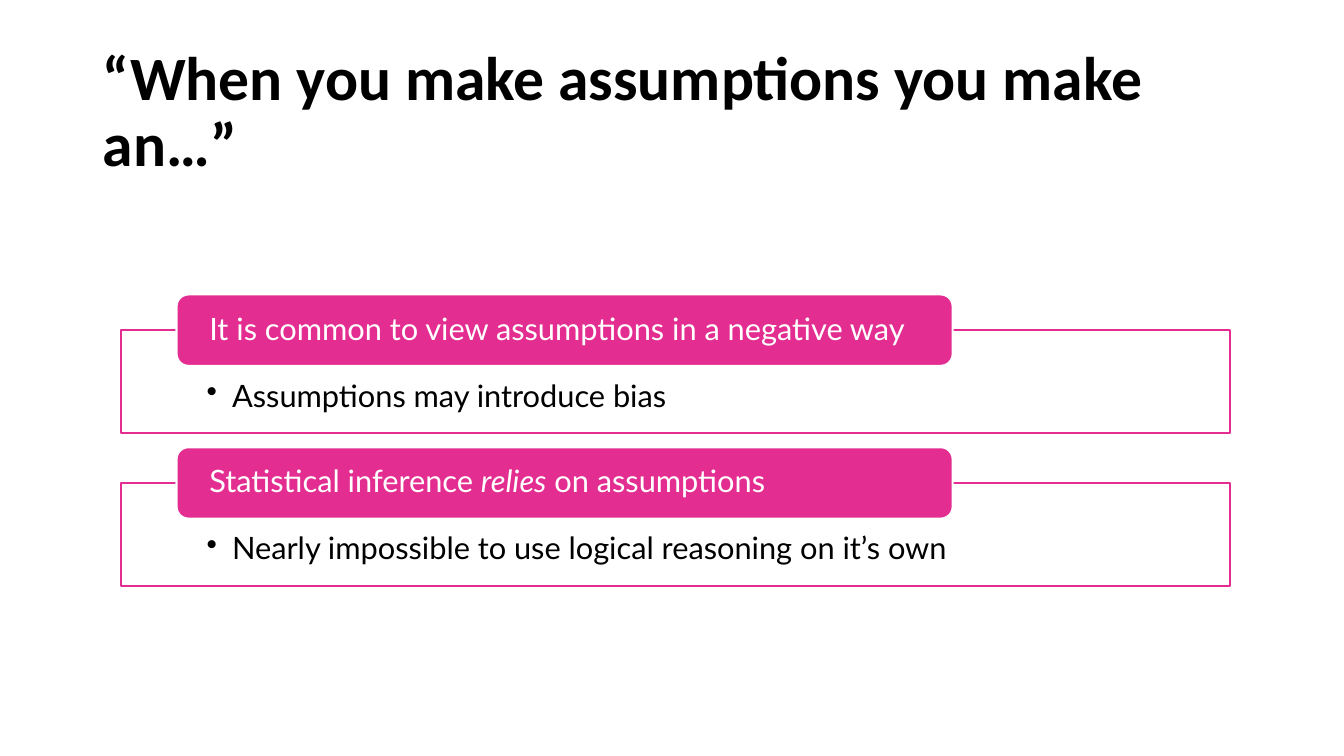
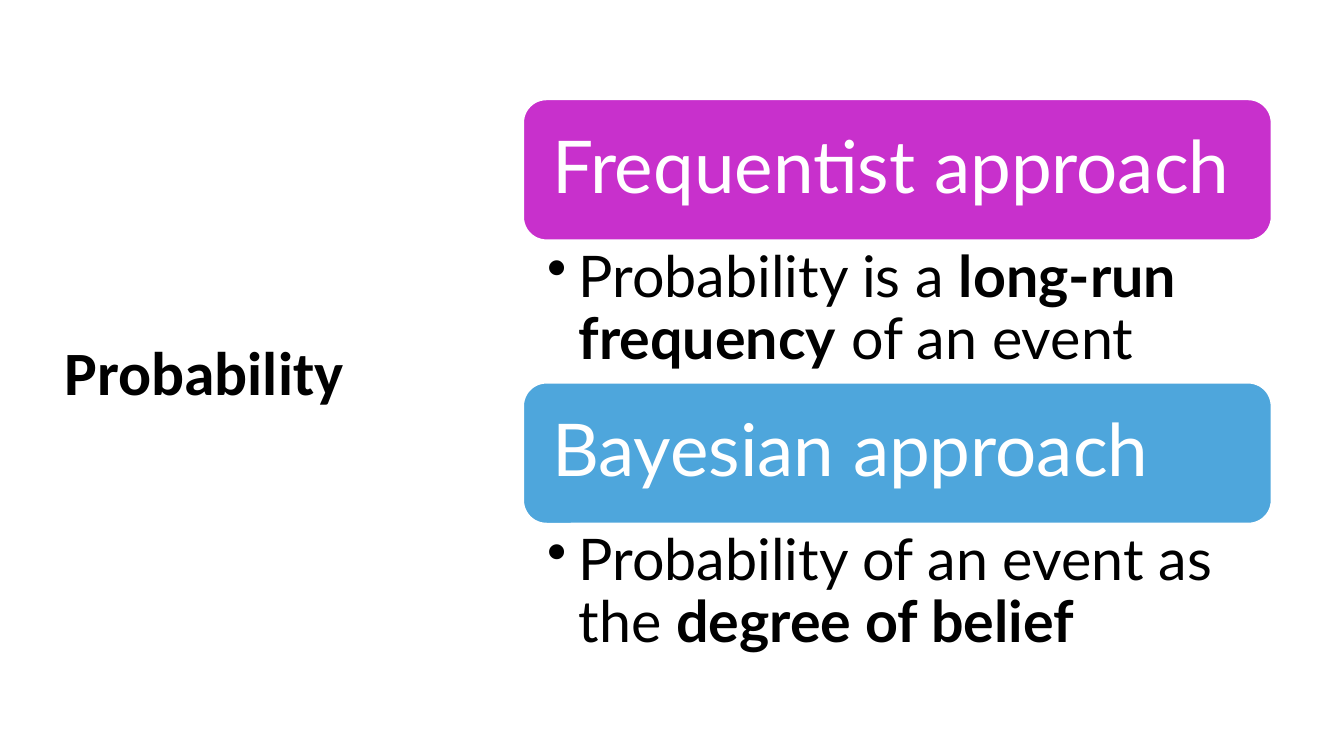
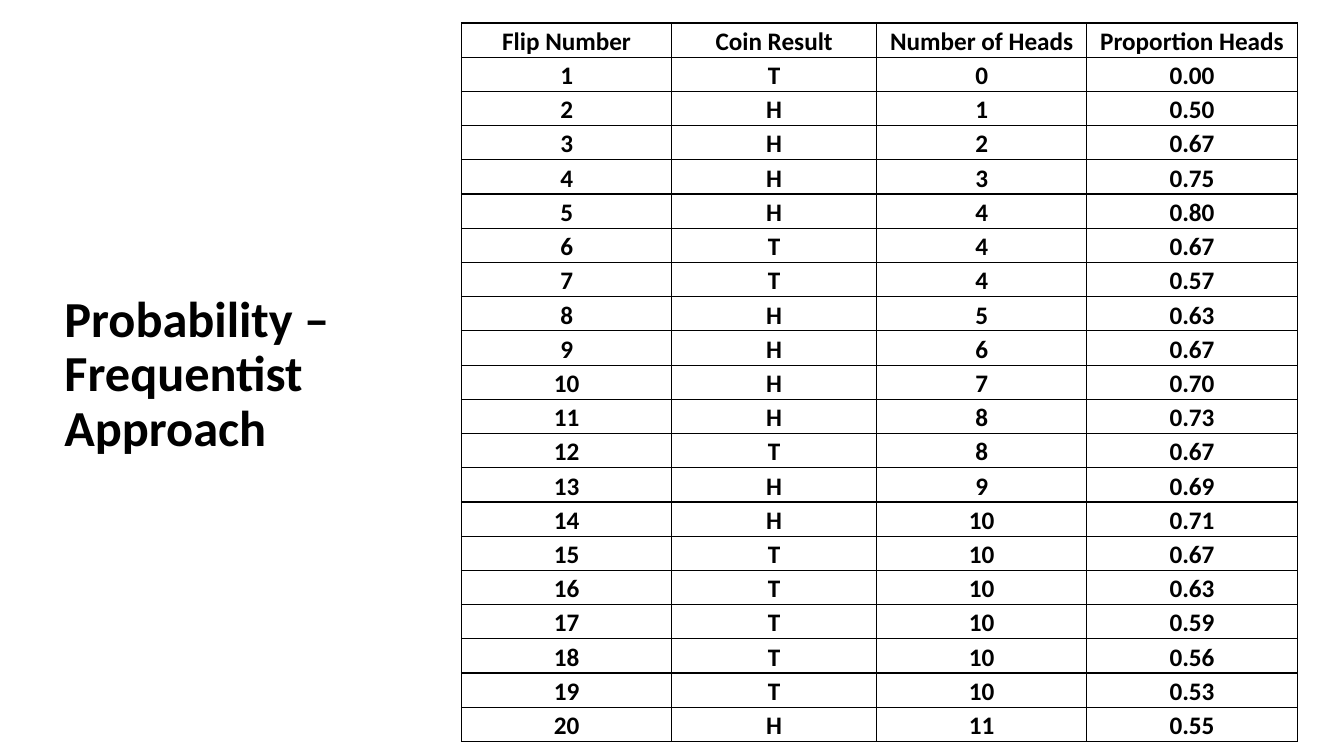
from math import floor

from lxml.etree import SubElement
from pptx import Presentation
from pptx.dml.color import RGBColor
from pptx.enum.shapes import MSO_SHAPE as Shape
from pptx.enum.text import MSO_ANCHOR as Anchor, MSO_AUTO_SIZE as AutoSize, PP_ALIGN as Align
from pptx.oxml import parse_xml
from pptx.oxml.ns import nsdecls, qn
from pptx.util import Cm, Pt

COLORS = {
    "text": "000000",
    "paper": "FFFFFF",
    "pink": "E32D91",
    "violet": "C830CC",
    "blue": "4EA6DC",
}
TITLE_FONT, BODY_FONT = "Calibri", "Lato"
TOP_TITLE = (2.34, 1.02, 29.21, 3.68)
SIDE_TITLE = (1.37, 1.45, 8.56, 16.03)
COIN_FLIPS = "THHHHTTHHHHTHHTTTTTH"


def color(name):
    return RGBColor.from_string(COLORS[name])


def flip_rows():
    """Table rows with the running count and proportion of heads."""
    rows = [("Flip Number", "Coin Result", "Number of Heads", "Proportion Heads")]
    heads = 0
    for number, result in enumerate(COIN_FLIPS, 1):
        heads += result == "H"
        proportion = floor(100 * heads / number + 0.5) / 100
        rows.append((str(number), result, str(heads), f"{proportion:.2f}"))
    return rows


class Deck:
    def __init__(self):
        self.prs = Presentation()
        self.prs.slide_width, self.prs.slide_height = Cm(33.87), Cm(19.05)
        self.slide = None

    def style(self, font, size, ink="text", name=BODY_FONT, bold=False):
        font.name, font.size, font.bold = name, Pt(size), bold
        font.color.rgb = color(ink)

    def new_slide(self, title, box, size=44):
        self.slide = self.prs.slides.add_slide(self.prs.slide_layouts[5])
        heading = self.slide.shapes.title
        heading.left, heading.top, heading.width, heading.height = map(Cm, box)
        frame = heading.text_frame
        frame.text = title
        frame.auto_size = AutoSize.NONE
        frame.vertical_anchor = Anchor.MIDDLE
        paragraph = frame.paragraphs[0]
        paragraph.alignment, paragraph.line_spacing = Align.LEFT, 0.9
        self.style(paragraph.runs[0].font, size, name=TITLE_FONT, bold=True)

    def fill_text(self, frame, text, size, insets, ink="text", emphasis="bold", hang=None):
        """Fill a frame; text between asterisks is emphasised, hang adds a bullet."""
        frame.word_wrap = True
        (frame.margin_left, frame.margin_top,
         frame.margin_right, frame.margin_bottom) = map(Cm, insets)
        paragraph = frame.paragraphs[0]
        paragraph.alignment, paragraph.line_spacing = Align.LEFT, 0.9
        if hang:
            paragraph.level = 1
            props = paragraph._p.get_or_add_pPr()
            props.set("marL", str(Cm(hang)))
            props.set("indent", str(-Cm(hang)))
            SubElement(props, qn("a:buChar")).set("char", "•")
        for index, part in enumerate(text.split("*")):
            if part:
                run = paragraph.add_run()
                run.text = part
                self.style(run.font, size, ink)
                if index % 2:
                    run.font.bold = emphasis == "bold"
                    run.font.italic = emphasis == "italic"

    def box(self, kind, at, fill, line):
        shape = self.slide.shapes.add_shape(kind, *map(Cm, at))
        shape.shadow.inherit = False
        shape.fill.solid()
        shape.fill.fore_color.rgb = color(fill)
        shape.line.color.rgb = color(line)
        shape.line.width = Pt(1.5)
        return shape

    def bar(self, text, at, fill, size, insets, emphasis="bold"):
        shape = self.box(Shape.ROUNDED_RECTANGLE, at, fill, "paper")
        shape.text_frame.vertical_anchor = Anchor.MIDDLE
        self.fill_text(shape.text_frame, text, size, insets, "paper", emphasis)

    def framed_bullet(self, text, at, line):
        shape = self.box(Shape.RECTANGLE, at, "paper", line)
        shape.text_frame.vertical_anchor = Anchor.TOP
        self.fill_text(shape.text_frame, text, 22, (2.16, 1.27, 2.16, 0.43), hang=0.64)

    def bullet(self, text, at):
        frame = self.slide.shapes.add_textbox(*map(Cm, at)).text_frame
        self.fill_text(frame, text, 41, (0.61, 0.18, 1.02, 0.18), hang=0.79)

    def table(self, rows, at, widths):
        table = self.slide.shapes.add_table(len(rows), len(widths), *map(Cm, at)).table
        table.first_row = table.horz_banding = False
        for column, width in zip(table.columns, widths):
            column.width = Cm(width)
        for r, row in enumerate(rows):
            for c, text in enumerate(row):
                self.cell(table.cell(r, c), text)

    def cell(self, cell, text):
        cell.margin_left = cell.margin_right = Cm(0.23)
        cell.margin_top, cell.margin_bottom = Cm(0.03), 0
        cell.fill.background()
        cell.text_frame.text = text
        paragraph = cell.text_frame.paragraphs[0]
        paragraph.alignment, paragraph.line_spacing = Align.CENTER, 1.07
        self.style(paragraph.runs[0].font, 18, name=TITLE_FONT, bold=True)
        props = cell._tc.get_or_add_tcPr()
        for position, side in enumerate("LRTB"):
            props.insert(position, parse_xml(
                f'<a:ln{side} {nsdecls("a")} w="{Pt(1)}"><a:solidFill>'
                f'<a:srgbClr val="{COLORS["text"]}"/></a:solidFill></a:ln{side}>'))


def assumptions(deck):
    deck.new_slide("“When you make assumptions you make an…”", TOP_TITLE)
    points = [
        ("It is common to view assumptions in a negative way",
         "Assumptions may introduce bias"),
        ("Statistical inference *relies* on assumptions",
         "Nearly impossible to use logical reasoning on it’s own"),
    ]
    for index, (claim, detail) in enumerate(points):
        top = 7.42 + 3.85 * index
        deck.framed_bullet(detail, (3.05, top + 0.9, 27.94, 2.6), "pink")
        deck.bar(claim, (4.45, top, 19.56, 1.8), "pink", 22, (0.74, 0, 0.74, 0), "italic")


def probability(deck):
    deck.new_slide("Probability", SIDE_TITLE)
    approaches = [
        ("Frequentist approach", "violet",
         "Probability is a *long-run frequency* of an event"),
        ("Bayesian approach", "blue",
         "Probability of an event as the *degree of belief*"),
    ]
    left, width, bar_height, text_height = 13.18, 18.87, 3.56, 3.58
    for index, (approach, fill, meaning) in enumerate(approaches):
        top = 2.5 + (bar_height + text_height) * index
        deck.bar(approach, (left, top, width, bar_height), fill, 52, (0.56,) * 4)
        deck.bullet(meaning, (left, top + bar_height, width, text_height))


def coin_flips(deck):
    deck.new_slide("Probability – Frequentist Approach", SIDE_TITLE, 36)
    widths = (5.3, 5.16, 5.3, 5.3)
    deck.table(flip_rows(), (11.63, 0.58, sum(widths), 18.11), widths)


def main():
    deck = Deck()
    for build in (assumptions, probability, coin_flips):
        build(deck)
    deck.prs.save("out.pptx")


if __name__ == "__main__":
    main()
